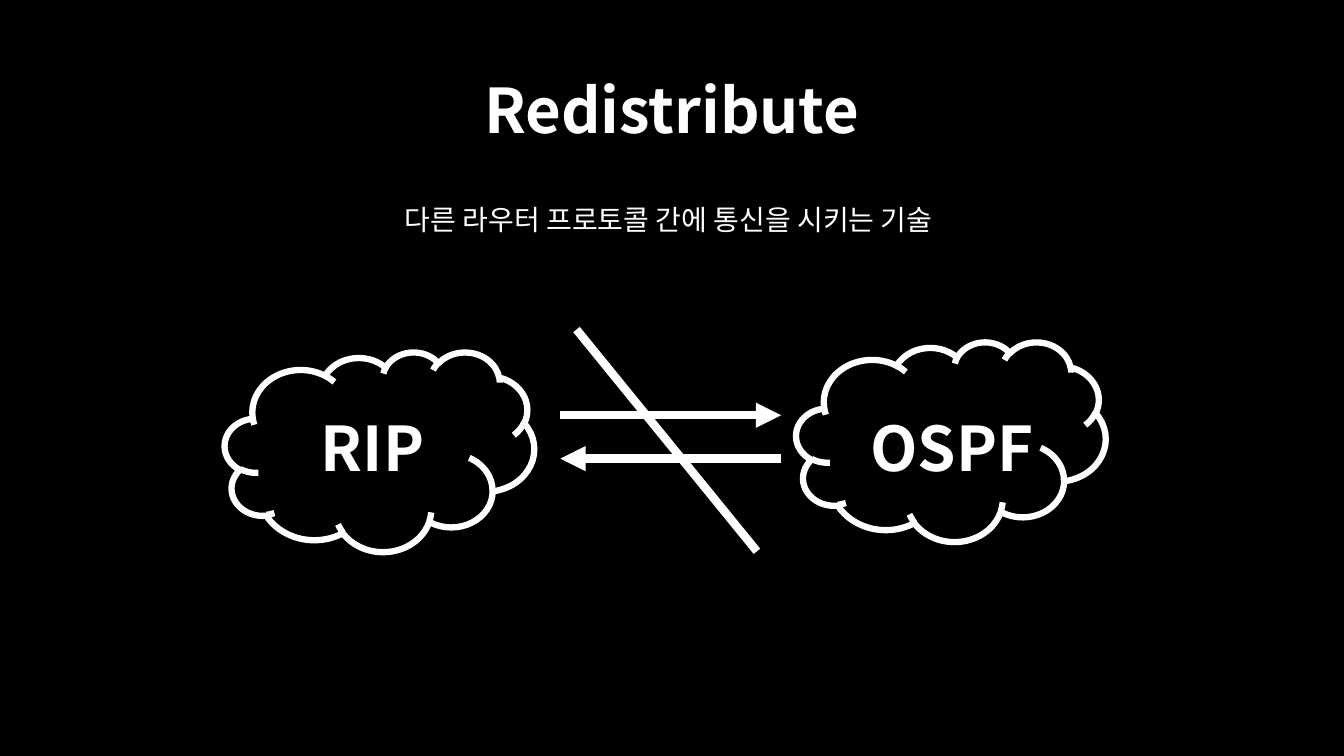
from lxml import etree
from pptx import Presentation
from pptx.dml.color import RGBColor
from pptx.enum.shapes import MSO_CONNECTOR, MSO_SHAPE
from pptx.enum.text import MSO_ANCHOR, PP_ALIGN
from pptx.oxml.ns import qn
from pptx.util import Pt

BLACK = RGBColor(0, 0, 0)
WHITE = RGBColor(255, 255, 255)
FONT_NAME = "Noto Sans CJK KR"
CLOUD = MSO_SHAPE.CLOUD
STRAIGHT = MSO_CONNECTOR.STRAIGHT
CENTER = PP_ALIGN.CENTER
TOP = MSO_ANCHOR.TOP
MIDDLE = MSO_ANCHOR.MIDDLE

CLOUD_WIDTH, CLOUD_HEIGHT = 221, 142.6
LABEL_TOP, LABEL_WIDTH, LABEL_HEIGHT = 270, 137.5, 104.4
ARROW_LEFT, ARROW_RIGHT = 400.3, 558


def add_text(slide, text, left, top, width, height, size=44, bold=True,
             anchor=MIDDLE, space_before=0):
    shape = slide.shapes.add_textbox(Pt(left), Pt(top), Pt(width), Pt(height))
    frame = shape.text_frame
    frame.word_wrap = True
    frame.vertical_anchor = anchor
    paragraph = frame.paragraphs[0]
    paragraph.text = text
    paragraph.alignment = CENTER
    paragraph.line_spacing = 0.9
    paragraph.space_before = Pt(space_before)
    font = paragraph.font
    font.name = FONT_NAME
    font.size = Pt(size)
    font.bold = bold
    font.color.rgb = WHITE
    properties = paragraph._p.pPr.find(qn("a:defRPr"))
    properties.find(qn("a:latin")).addnext(
        etree.Element(qn("a:ea"), typeface=FONT_NAME))


def add_cloud(slide, left, top):
    shape = slide.shapes.add_shape(
        CLOUD, Pt(left), Pt(top), Pt(CLOUD_WIDTH), Pt(CLOUD_HEIGHT))
    shape.shadow.inherit = False
    shape.fill.background()
    shape.line.color.rgb = WHITE
    shape.line.width = Pt(4.5)


def add_line(slide, start, end, arrow=False):
    connector = slide.shapes.add_connector(
        STRAIGHT, *(Pt(value) for value in (*start, *end)))
    connector.line.color.rgb = WHITE
    connector.line.width = Pt(6)
    properties = connector._element.spPr
    if arrow:
        etree.SubElement(properties.find(qn("a:ln")), qn("a:tailEnd"),
                         type="triangle")
    etree.SubElement(properties, qn("a:effectLst"))


def main():
    presentation = Presentation()
    presentation.slide_width = Pt(960)
    presentation.slide_height = Pt(540)
    slide = presentation.slides.add_slide(presentation.slide_layouts[6])
    background = slide.background.fill
    background.solid()
    background.fore_color.rgb = BLACK

    add_text(slide, "Redistribute", 66, 28.8, 828, 104.4)
    add_text(slide, "다른 라우터 프로토콜 간에 통신을 시키는 기술 ",
             66, 144, 828, 342.7, size=20, bold=False, anchor=TOP,
             space_before=10)

    for name, label_left, cloud_left, cloud_top in (
        ("RIP ", 202.3, 160.6, 251.3),
        ("OSPF ", 611.3, 568.8, 244.1),
    ):
        add_cloud(slide, cloud_left, cloud_top)
        add_text(slide, name, label_left, LABEL_TOP, LABEL_WIDTH, LABEL_HEIGHT)

    add_line(slide, (ARROW_LEFT, 296.6), (ARROW_RIGHT, 296.6), arrow=True)
    add_line(slide, (ARROW_RIGHT, 327.6), (ARROW_LEFT, 327.6), arrow=True)
    add_line(slide, (411.8, 235.4), (540.7, 393.8))

    presentation.save("out.pptx")


main()
